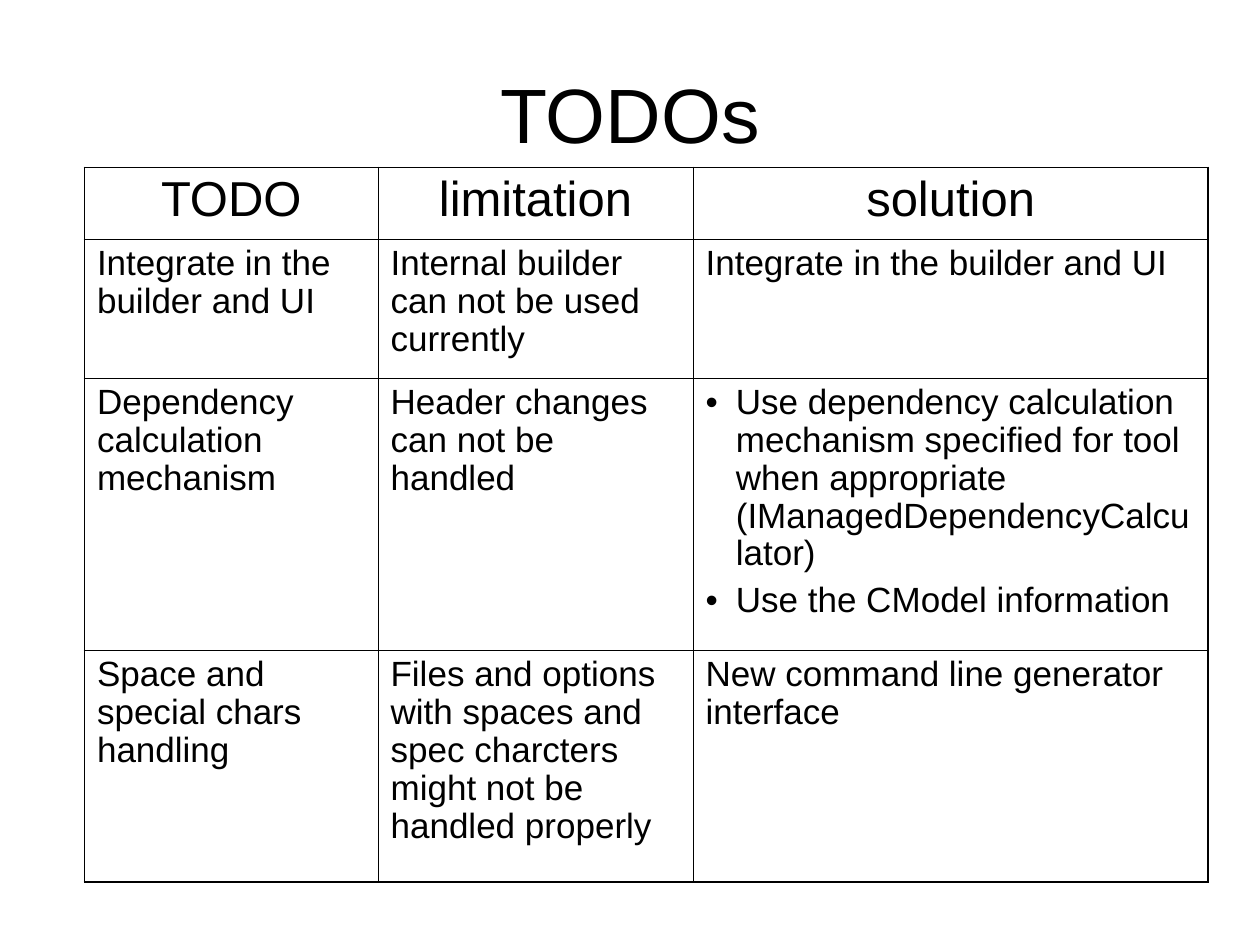
import dataclasses

import lxml.etree
import pptx
import pptx.dml.color
import pptx.enum.text
import pptx.oxml.ns
import pptx.util


@dataclasses.dataclass(frozen=True)
class Theme:
    font: str = "Arial"
    ink: str = "000000"
    title_size: float = 44
    header_size: float = 28
    body_size: float = 20
    paragraph_gap: float = 5
    line_spacing: float = 0.97
    bullet_indent: float = 0.24
    outer_line: float = 1.08
    inner_line: float = 0.45


THEME = Theme()
SLIDE_WIDTH, SLIDE_HEIGHT = 10, 7.5
COLUMN_WIDTHS = [2.33, 2.5, 4.09]
ROW_HEIGHTS = [0.57, 1.1, 2.16, 1.84]
TABLE_LEFT, TABLE_TOP = 0.67, 1.33

ROWS = [
    [["TODO"], ["limitation"], ["solution"]],
    [
        ["Integrate in the builder and UI"],
        ["Internal builder can not be used currently"],
        ["Integrate in the builder and UI"],
    ],
    [
        ["Dependency calculation mechanism"],
        ["Header changes can not be handled"],
        [
            "Use dependency calculation mechanism specified for tool "
            "when appropriate (IManagedDependencyCalculator)",
            "Use the CModel information",
        ],
    ],
    [
        ["Space and special chars handling"],
        ["Files and options with spaces and spec charcters "
         "might not be handled properly"],
        ["New command line generator interface"],
    ],
]


def add_child(parent, tag, **attributes):
    child = lxml.etree.SubElement(parent, pptx.oxml.ns.qn(tag))
    for name, value in attributes.items():
        child.set(name, str(value))
    return child


def add_bullet(paragraph):
    properties = paragraph._p.get_or_add_pPr()
    indent = pptx.util.Inches(THEME.bullet_indent)
    properties.set("marL", str(indent))
    properties.set("indent", str(-indent))
    add_child(properties, "a:buFont", typeface=THEME.font)
    add_child(properties, "a:buChar", char="•")


def write_text(text_frame, texts, size, centered=False, bulleted=False):
    text_frame.word_wrap = True
    alignment = pptx.enum.text.PP_ALIGN
    for index, text in enumerate(texts):
        paragraph = text_frame.add_paragraph() if index else text_frame.paragraphs[0]
        if bulleted:
            add_bullet(paragraph)
        paragraph.alignment = alignment.CENTER if centered else alignment.LEFT
        paragraph.line_spacing = THEME.line_spacing
        if index:
            paragraph.space_before = pptx.util.Pt(THEME.paragraph_gap)
        run = paragraph.add_run()
        run.text = text
        run.font.name = THEME.font
        run.font.size = pptx.util.Pt(size)
        run.font.color.rgb = pptx.dml.color.RGBColor.from_string(THEME.ink)


def set_borders(cell, outer_sides):
    properties = cell._tc.get_or_add_tcPr()
    for position, side in enumerate(["L", "R", "T", "B"]):
        width = THEME.outer_line if side in outer_sides else THEME.inner_line
        line = lxml.etree.Element(pptx.oxml.ns.qn(f"a:ln{side}"))
        line.set("w", str(pptx.util.Pt(width)))
        add_child(add_child(line, "a:solidFill"), "a:srgbClr", val=THEME.ink)
        properties.insert(position, line)


def add_title(slide, text):
    shape = slide.shapes.add_textbox(
        pptx.util.Inches(SLIDE_WIDTH * 0.05),
        pptx.util.Inches(SLIDE_HEIGHT * 0.04),
        pptx.util.Inches(SLIDE_WIDTH * 0.9),
        pptx.util.Inches(1.25),
    )
    shape.text_frame.vertical_anchor = pptx.enum.text.MSO_ANCHOR.MIDDLE
    write_text(shape.text_frame, [text], size=THEME.title_size, centered=True)


def add_todo_table(slide):
    table = slide.shapes.add_table(
        len(ROW_HEIGHTS),
        len(COLUMN_WIDTHS),
        pptx.util.Inches(TABLE_LEFT),
        pptx.util.Inches(TABLE_TOP),
        pptx.util.Inches(sum(COLUMN_WIDTHS)),
        pptx.util.Inches(sum(ROW_HEIGHTS)),
    ).table
    table.first_row = table.horz_banding = False
    for column, width in zip(table.columns, COLUMN_WIDTHS):
        column.width = pptx.util.Inches(width)
    for row, height in zip(table.rows, ROW_HEIGHTS):
        row.height = pptx.util.Inches(height)

    last_row, last_column = len(ROW_HEIGHTS) - 1, len(COLUMN_WIDTHS) - 1
    for row_index, row in enumerate(ROWS):
        for column_index, texts in enumerate(row):
            cell = table.cell(row_index, column_index)
            is_header = row_index == 0
            cell.fill.background()
            write_text(
                cell.text_frame,
                texts,
                size=THEME.header_size if is_header else THEME.body_size,
                centered=is_header,
                bulleted=len(texts) > 1,
            )
            edges = {
                "L": column_index == 0,
                "R": column_index == last_column,
                "T": is_header,
                "B": row_index == last_row,
            }
            set_borders(cell, [side for side, is_outer in edges.items() if is_outer])


def main():
    presentation = pptx.Presentation()
    presentation.slide_width = pptx.util.Inches(SLIDE_WIDTH)
    presentation.slide_height = pptx.util.Inches(SLIDE_HEIGHT)
    slide = presentation.slides.add_slide(presentation.slide_layouts[6])
    add_title(slide, "TODOs")
    add_todo_table(slide)
    presentation.save("out.pptx")


if __name__ == "__main__":
    main()
